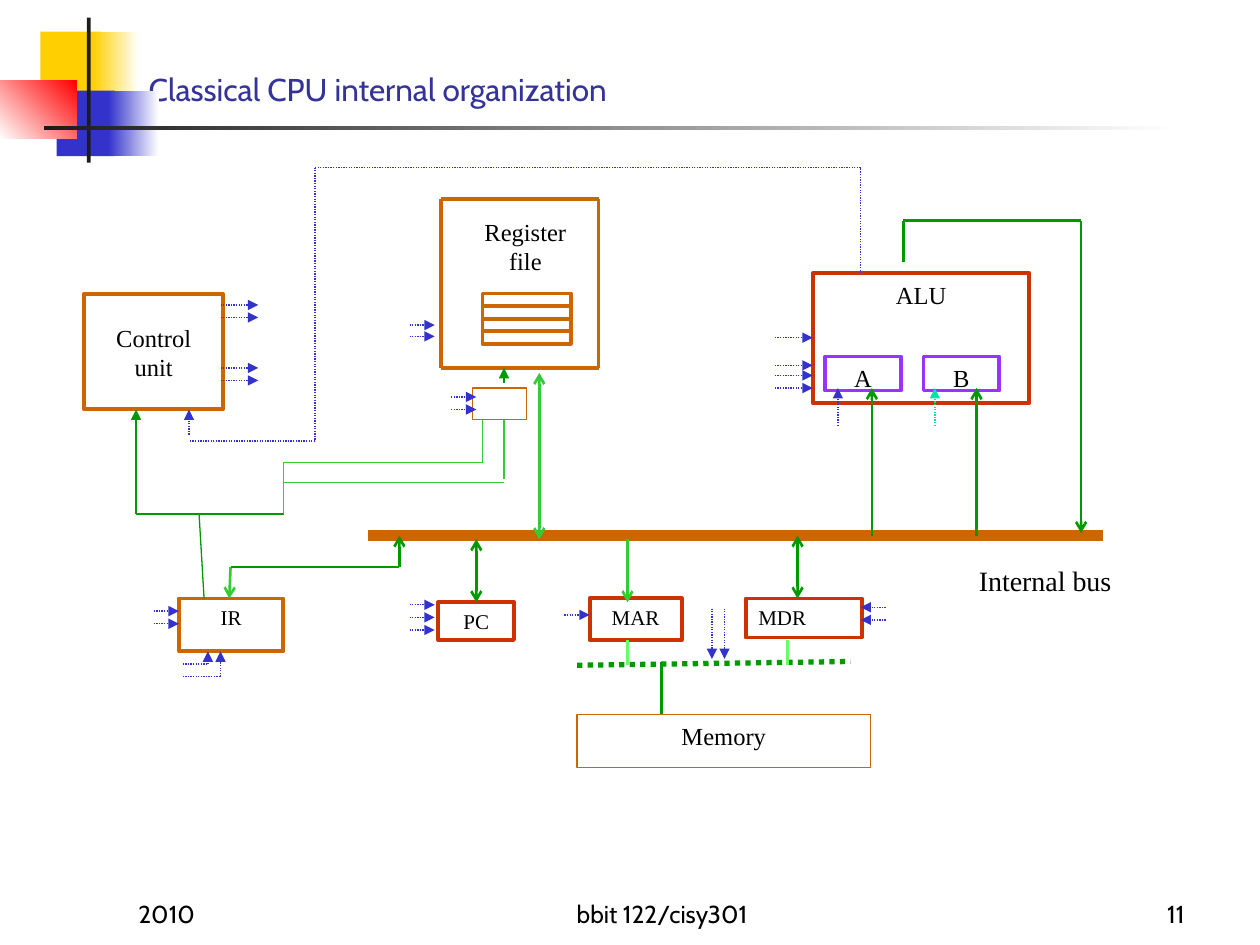
from itertools import pairwise

from lxml.etree import SubElement
from pptx import Presentation
from pptx.dml.color import RGBColor
from pptx.enum.dml import MSO_LINE
from pptx.enum.shapes import MSO_CONNECTOR, MSO_SHAPE
from pptx.enum.text import MSO_ANCHOR, PP_ALIGN
from pptx.oxml.ns import qn
from pptx.util import Inches, Pt

BLACK = RGBColor(0x00, 0x00, 0x00)
WHITE = RGBColor(0xFF, 0xFF, 0xFF)
CHARCOAL = RGBColor(0x1C, 0x1C, 0x1C)
YELLOW = RGBColor(0xFF, 0xCF, 0x01)
RED = RGBColor(0xFF, 0x00, 0x00)
BLUE = RGBColor(0x33, 0x33, 0xCC)
TITLE_BLUE = RGBColor(0x33, 0x33, 0x99)
ORANGE = RGBColor(0xCC, 0x66, 0x00)
RUST = RGBColor(0xCC, 0x33, 0x00)
PURPLE = RGBColor(0x99, 0x33, 0xFF)
GREEN = RGBColor(0x00, 0x99, 0x00)
MID_GREEN = RGBColor(0x33, 0xCC, 0x33)
PALE_GREEN = RGBColor(0x66, 0xFF, 0x66)
TEAL = RGBColor(0x00, 0xE4, 0xA8)

deck = Presentation()
deck.slide_width, deck.slide_height = Inches(10), Inches(7.5)
page = deck.slides.add_slide(deck.slide_layouts[5])


def write(box, text, size, font="Times New Roman", align=PP_ALIGN.CENTER,
          anchor=MSO_ANCHOR.TOP, color=BLACK):
    frame = box.text_frame
    frame.word_wrap = True
    frame.vertical_anchor = anchor
    frame.text = text
    for para in frame.paragraphs:
        para.alignment = align
        para.font.name, para.font.size = font, Pt(size)
        para.font.color.rgb = color


def draw_path(points, color, width=1.5, head=None, tail=None, dash=None):
    """Join the points by straight lines, with arrowheads at the two ends."""
    segments = list(pairwise(points))
    for index, (start, end) in enumerate(segments):
        line = page.shapes.add_connector(
            MSO_CONNECTOR.STRAIGHT, *[Inches(value) for value in start + end])
        line.line.color.rgb = color
        line.line.width = Pt(width)
        if dash:
            line.line.dash_style = dash
        properties = line._element.spPr
        outline = properties.find(qn("a:ln"))
        if head and index == 0:
            SubElement(outline, qn("a:headEnd"), type=head)
        if tail and index == len(segments) - 1:
            SubElement(outline, qn("a:tailEnd"), type=tail)
        SubElement(properties, qn("a:effectLst"))


# Corner decoration: left, top, width, height, start, end, angle
for left, top, width, height, start, end, angle in [
    (0.32, 0.25, 0.48, 0.52, YELLOW, None, 0),
    (0.74, 0.25, 0.36, 0.52, YELLOW, WHITE, 0),
    (0.45, 0.72, 0.46, 0.52, BLUE, None, 0),
    (0.86, 0.72, 0.4, 0.52, BLUE, WHITE, 0),
    (0, 0.64, 0.61, 0.46, WHITE, RED, 45),
    (0.69, 0.14, 0.03, 1.15, CHARCOAL, None, 0),
    (0.35, 1, 9, 0.03, CHARCOAL, WHITE, 0),
]:
    block = page.shapes.add_shape(
        MSO_SHAPE.RECTANGLE, Inches(left), Inches(top), Inches(width), Inches(height))
    block.shadow.inherit = False
    block.line.fill.background()
    if end is None:
        block.fill.solid()
        block.fill.fore_color.rgb = start
    else:
        block.fill.gradient()
        block.fill.gradient_angle = angle
        for stop, color, position in zip(block.fill.gradient_stops, (start, end), (0, 1)):
            stop.color.rgb = color
            stop.position = position

# Title
title = page.shapes.title
title.left, title.top = Inches(1.08), Inches(0.33)
title.width, title.height = Inches(8.67), Inches(0.58)
write(title, "Classical CPU internal organization", 18, "Cabin", PP_ALIGN.LEFT,
      MSO_ANCHOR.BOTTOM, TITLE_BLUE)

# Footer
for left, width, text, align in [
    (1, 2.08, "2010", PP_ALIGN.LEFT),
    (3.67, 3.17, "bbit 122/cisy301", PP_ALIGN.CENTER),
    (7.42, 2.08, "11", PP_ALIGN.RIGHT),
]:
    footer = page.shapes.add_textbox(Inches(left), Inches(6.92), Inches(width), Inches(0.5))
    write(footer, text, 14, "Cabin", align, MSO_ANCHOR.BOTTOM)

# Free labels
register_label = page.shapes.add_textbox(Inches(3.67), Inches(1.67), Inches(1), Inches(0.5))
write(register_label, "Register file", 14)
bus_label = page.shapes.add_textbox(Inches(7.67), Inches(4.42), Inches(1.33), Inches(0.37))
write(bus_label, "Internal bus", 16, align=PP_ALIGN.LEFT)
bus_label.text_frame.paragraphs[0].space_before = Pt(10)

# Units: left, top, width, height, outline, line width, text, size
units = {}
for left, top, width, height, color, weight, text, size in [
    (0.67, 2.33, 1.1, 0.92, ORANGE, 2.25, "Control\nunit", 14),
    (3.83, 2.33, 0.7, 0.4, ORANGE, 2.25, "", 14),
    (6.45, 2.17, 1.72, 1.03, RUST, 2.25, "ALU", 14),
    (1.42, 4.75, 0.83, 0.42, ORANGE, 2.25, "IR", 12),
    (3.48, 4.78, 0.6, 0.3, RUST, 2.25, "PC", 12),
    (4.68, 4.75, 0.73, 0.33, RUST, 2.25, "MAR", 12),
    (5.92, 4.75, 0.92, 0.31, RUST, 2.25, "MDR", 12),
    (4.58, 5.67, 2.33, 0.42, ORANGE, 0.75, "Memory", 14),
    (6.55, 2.83, 0.6, 0.27, PURPLE, 2.25, "A", 14),
    (7.33, 2.83, 0.6, 0.27, PURPLE, 2.25, "B", 14),
    (3.75, 3.08, 0.43, 0.25, ORANGE, 0.75, "", 14),
]:
    unit = page.shapes.add_shape(
        MSO_SHAPE.RECTANGLE, Inches(left), Inches(top), Inches(width), Inches(height))
    unit.shadow.inherit = False
    unit.fill.background()
    unit.line.color.rgb = color
    unit.line.width = Pt(weight)
    if text:
        write(unit, text, size)
        units[text] = unit
units["Control\nunit"].text_frame.margin_top = Inches(0.23)
units["MDR"].text_frame.paragraphs[0].alignment = PP_ALIGN.LEFT

# Register file frame and its rows
draw_path([(3.5, 2.92), (4.75, 2.92), (4.75, 1.58), (3.5, 1.58), (3.5, 2.92)], ORANGE, 2.25)
for row in range(3):
    y = 2.43 + 0.1 * row
    draw_path([(3.83, y), (4.53, y)], ORANGE, 2.25)

# Internal bus and memory bus
draw_path([(2.92, 4.25), (8.75, 4.25)], ORANGE, 6)
draw_path([(4.58, 5.28), (6.75, 5.25)], GREEN, 3, dash=MSO_LINE.ROUND_DOT)

# Data paths on and off the bus
draw_path([(4.28, 4.28), (4.28, 2.96)], MID_GREEN, head="arrow", tail="arrow")
draw_path([(1.83, 4.5), (1.82, 4.75)], MID_GREEN, tail="arrow")
draw_path([(3.17, 4.25), (3.17, 4.5), (1.83, 4.5)], GREEN, head="arrow")
draw_path([(4.98, 4.28), (4.98, 4.78)], MID_GREEN, tail="arrow")
draw_path([(3.78, 4.28), (3.78, 4.78)], GREEN, head="arrow", tail="arrow")
draw_path([(6.33, 4.75), (6.33, 4.25)], GREEN, head="arrow", tail="arrow")
for x in (6.92, 7.75):
    draw_path([(x, 4.25), (x, 3.08)], GREEN, tail="arrow")
draw_path([(7.17, 2.08), (7.17, 1.75), (8.58, 1.75), (8.58, 4.23)], GREEN, tail="arrow")
for x in (4.98, 6.25):
    draw_path([(x, 5.08), (x, 5.28)], PALE_GREEN)
draw_path([(5.25, 5.25), (5.25, 5.67)], GREEN)

# Instruction register to control unit and register selector
draw_path([(2.25, 4.08), (1.08, 4.08), (1.08, 3.25)], GREEN, 0.75, tail="triangle")
draw_path([(1.58, 4.08), (1.62, 4.75)], GREEN, 0.75)
draw_path([(2.25, 4.08), (2.25, 3.67), (3.83, 3.67), (3.83, 3.33)], MID_GREEN, 0.75)
draw_path([(2.25, 3.83), (4, 3.83)], MID_GREEN, 0.75)
draw_path([(4, 3.8), (4, 3.33)], MID_GREEN, 0.75)
draw_path([(4, 3.04), (4, 2.92)], GREEN, 0.75, tail="triangle")

# ALU status back to the control unit
draw_path([(6.83, 2.17), (6.83, 1.33), (2.5, 1.33), (2.5, 3.5), (1.5, 3.5)],
          BLUE, 0.75, dash=MSO_LINE.ROUND_DOT)

# Horizontal control signals: start, tip, heights
signals = []
for start, tip, heights in [
    (1.75, 2.05, (2.42, 2.52, 2.92, 3.02)),
    (3.25, 3.45, (2.58, 2.67, 4.8, 4.9, 5)),
    (3.58, 3.78, (3.15, 3.25)),
    (6.15, 6.45, (2.68, 2.9, 2.98, 3.08)),
    (7.03, 6.83, (4.82, 4.92)),
    (1.22, 1.42, (4.85, 4.95)),
    (4.48, 4.68, (4.88,)),
]:
    signals += [[(start, y), (tip, y)] for y in heights]

# Vertical and bent control signals
signals += [[(x, 4.83), (x, 5.23)] for x in (5.65, 5.75)]
signals += [[(1.45, y), (x, y), (x, 5.17)] for x, y in ((1.65, 5.27), (1.75, 5.37))]
signals += [[(1.5, 3.45), (1.5, 3.25)], [(6.65, 3.38), (6.65, 3.08)]]
for points in signals:
    draw_path(points, BLUE, 0.75, tail="triangle", dash=MSO_LINE.ROUND_DOT)
draw_path([(7.42, 3.38), (7.42, 3.08)], TEAL, 0.75, tail="triangle", dash=MSO_LINE.ROUND_DOT)

deck.save("out.pptx")
